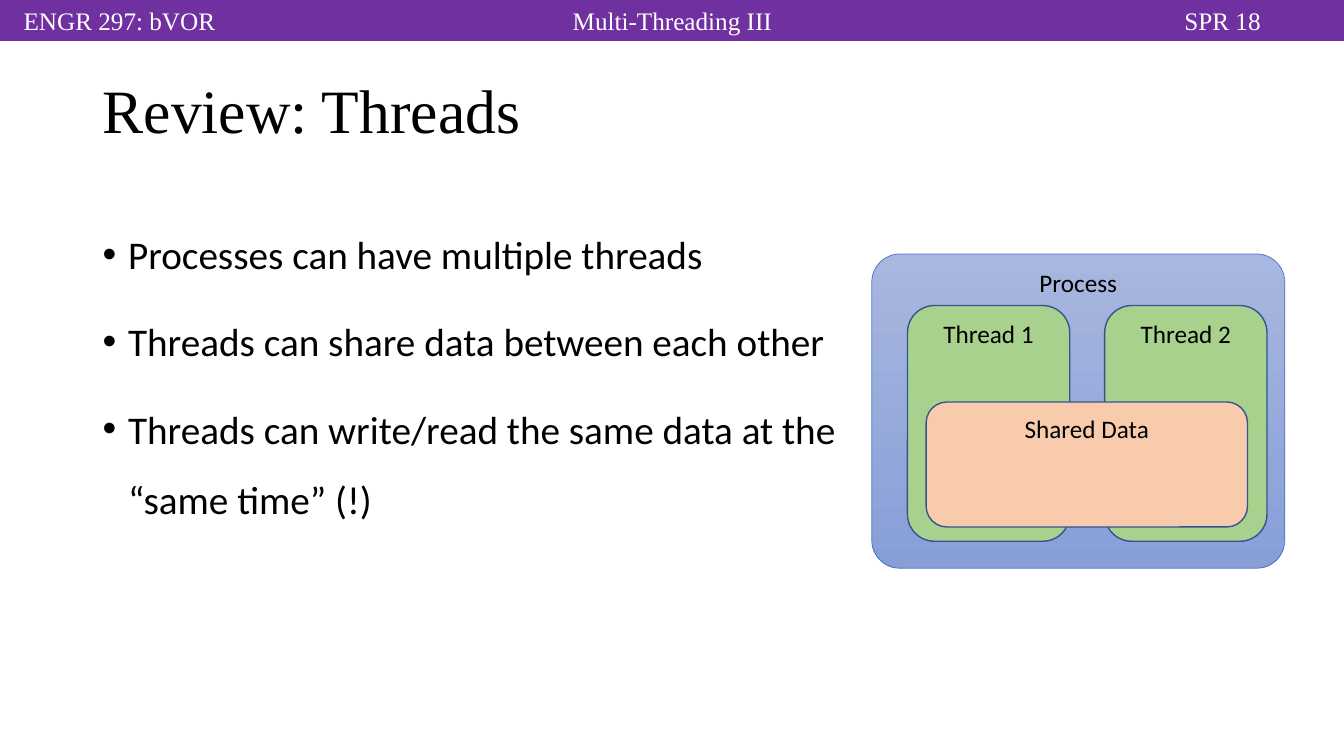
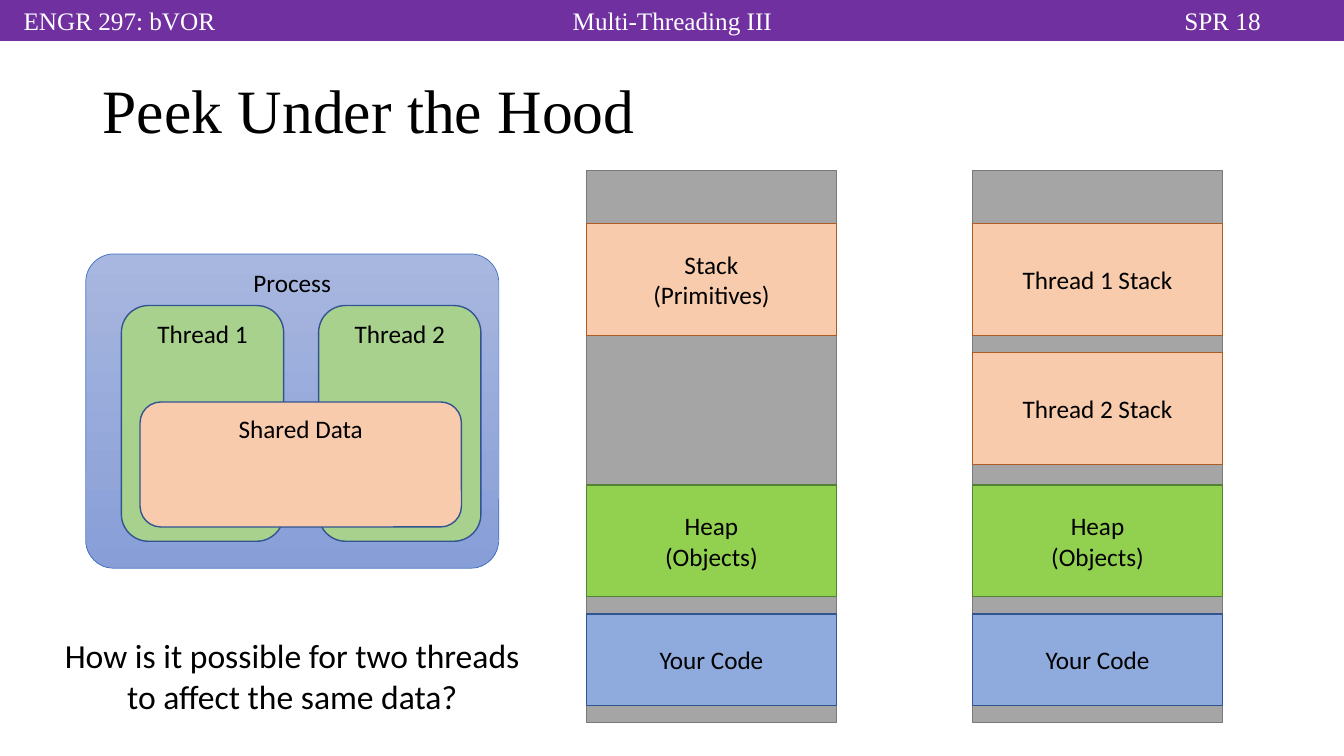
from pptx import Presentation
from pptx.dml.color import RGBColor
from pptx.enum.shapes import MSO_SHAPE
from pptx.enum.text import MSO_ANCHOR, PP_ALIGN
from pptx.oxml.ns import qn
from pptx.util import Cm, Pt
from lxml import etree

RECT, ROUNDED = MSO_SHAPE.RECTANGLE, MSO_SHAPE.ROUNDED_RECTANGLE
TOP, MIDDLE = MSO_ANCHOR.TOP, MSO_ANCHOR.MIDDLE
LEFT, CENTER = PP_ALIGN.LEFT, PP_ALIGN.CENTER
SERIF, SANS = "Times New Roman", "Calibri"
PURPLE, WHITE, BLACK = "7030A0", "FFFFFF", "000000"
GREEN, PEACH, LIME, BLUE, GRAY = "A9D18E", "F8CBAD", "92D050", "8FAADC", "A5A5A5"
NAVY, RUST, DARK_GREEN, DARK_GRAY = "325491", "AF5C24", "548235", "7A7A7A"
hex_color = RGBColor.from_string


def write(shape, text, size=18, font=SANS, color=BLACK, align=CENTER,
          anchor=TOP, spacing=1.0, before=0, bullet=None):
    frame = shape.text_frame
    frame.word_wrap = True
    frame.vertical_anchor = anchor
    frame.text = text
    for paragraph in frame.paragraphs:
        paragraph.alignment = align
        paragraph.line_spacing = spacing
        paragraph.space_before = Pt(before)
        paragraph.font.size = Pt(size)
        for run in paragraph.runs:
            run.font.size = Pt(size)
            run.font.name = font
            run.font.color.rgb = hex_color(color)
        if bullet:
            props = paragraph._p.get_or_add_pPr()
            props.set("marL", str(Cm(0.64)))
            props.set("indent", str(-Cm(0.64)))
            mark_font = etree.Element(qn("a:buFont"), typeface="Arial")
            mark = etree.Element(qn("a:buChar"), char=bullet)
            props.find(qn("a:spcBef")).addnext(mark_font)
            mark_font.addnext(mark)


def add_box(slide, kind, place, fill, line, width=1):
    box = slide.shapes.add_shape(kind, *map(Cm, place))
    box.shadow.inherit = False
    if isinstance(fill, tuple):
        box.fill.gradient()
        box.fill.gradient_angle = 270
        for stop, color in zip(box.fill.gradient_stops, fill):
            stop.color.rgb = hex_color(color)
    else:
        box.fill.solid()
        box.fill.fore_color.rgb = hex_color(fill)
    box.line.color.rgb = hex_color(line)
    box.line.width = Pt(width)
    return box


deck = Presentation()
deck.slide_width, deck.slide_height = Cm(33.87), Cm(19.05)

# Shared parts: header band, title and process diagram
HEADERS = [("Multi-Threading III", 11.23, 11.43),
           ("SPR 18", 27.75, 6.12),
           ("ENGR 297: bVOR", 0, 6.02)]
slides = []
for title, process_left in [("Review: Threads", 21.97), ("Peek Under the Hood", 2.16)]:
    slide = deck.slides.add_slide(deck.slide_layouts[6])
    slides.append(slide)
    add_box(slide, RECT, (0, 0, 33.87, 1.02), PURPLE, PURPLE)
    for label, left, width in HEADERS:
        header = slide.shapes.add_textbox(Cm(left), 0, Cm(width), Cm(1.02))
        write(header, label, font=SERIF, color=WHITE)
    heading = slide.shapes.add_textbox(Cm(2.34), Cm(1.02), Cm(29.21), Cm(3.68))
    write(heading, title, size=44, font=SERIF, align=LEFT, anchor=MIDDLE, spacing=0.9)

    process = add_box(slide, ROUNDED, (process_left, 6.4, 10.41, 7.92),
                      ("A8B7DF", "889ED7"), "4472C4", 0.5)
    process.adjustments[0] = 0.09
    write(process, "Process")
    for i in range(2):
        thread_left = process_left + 0.9 + i * 4.97
        thread = add_box(slide, ROUNDED, (thread_left, 7.7, 4.09, 5.94), GREEN, NAVY)
        write(thread, f"Thread {i + 1}")
    shared = add_box(slide, ROUNDED, (process_left + 1.37, 10.13, 8.1, 3.15), PEACH, NAVY)
    write(shared, "Shared Data")

review, peek = slides

# Review: bullet points
points = review.shapes.add_textbox(Cm(2.34), Cm(5.08), Cm(19.66), Cm(12.09))
write(points, "Processes can have multiple threads\n"
      "Threads can share data between each other\n"
      "Threads can write/read the same data at the “same time” (!)",
      size=28, align=LEFT, spacing=1.5, before=12, bullet="•")

# Peek: memory columns, each block as text, top, height, fill, line
COMMON = [("Heap\n(Objects)", 12.22, 2.82, LIME, DARK_GREEN),
          ("Your Code", 15.47, 2.31, BLUE, NAVY)]
MEMORY = [(14.78, [("Stack\n(Primitives)", 5.64, 2.82, PEACH, RUST)]),
          (24.51, [("Thread 1 Stack", 5.64, 2.82, PEACH, RUST),
                   ("Thread 2 Stack", 8.89, 2.82, PEACH, RUST)])]
for left, stacks in MEMORY:
    add_box(peek, RECT, (left, 4.29, 6.3, 13.92), GRAY, DARK_GRAY)
    for label, top, height, fill, line in stacks + COMMON:
        block = add_box(peek, RECT, (left, top, 6.3, height), fill, line)
        write(block, label, anchor=MIDDLE)

# Peek: question
question = peek.shapes.add_textbox(Cm(1.32), Cm(15.88), Cm(12.09), Cm(2.31))
write(question, "How is it possible for two threads to affect the same data?", size=24)

deck.save("out.pptx")
